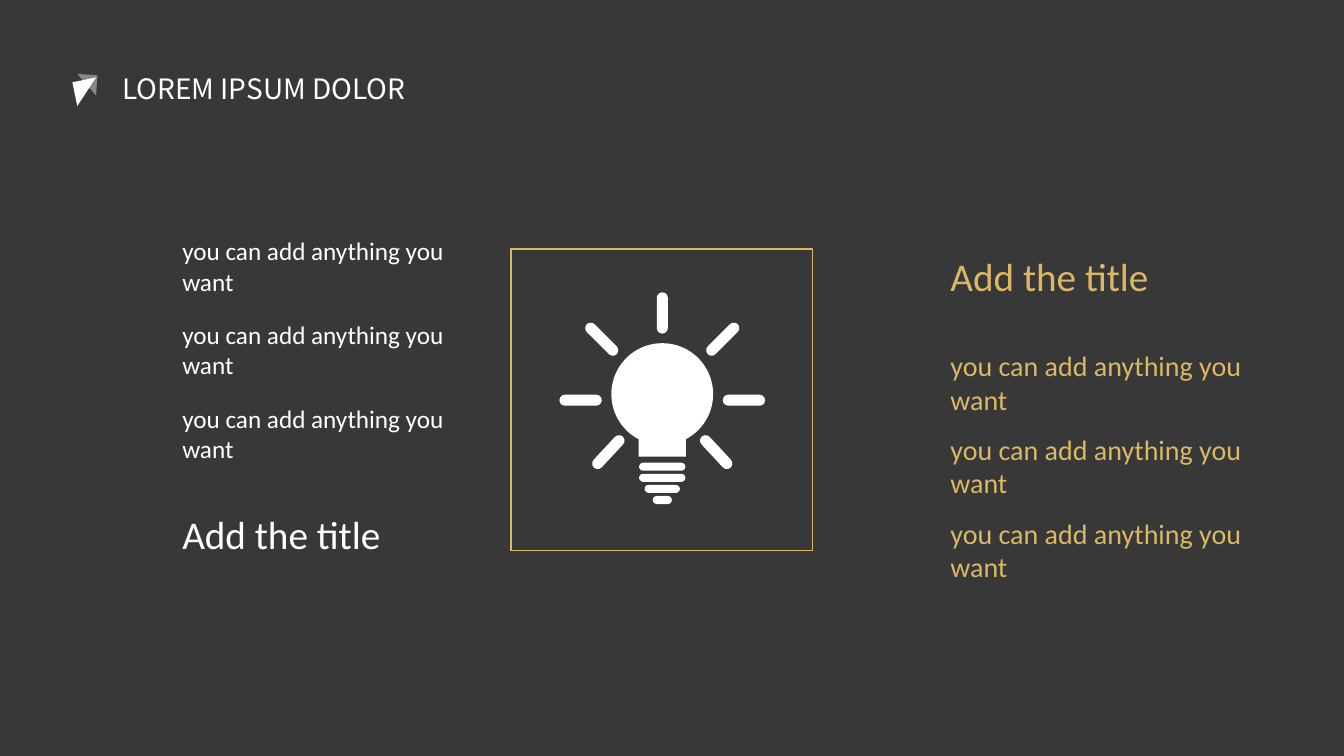
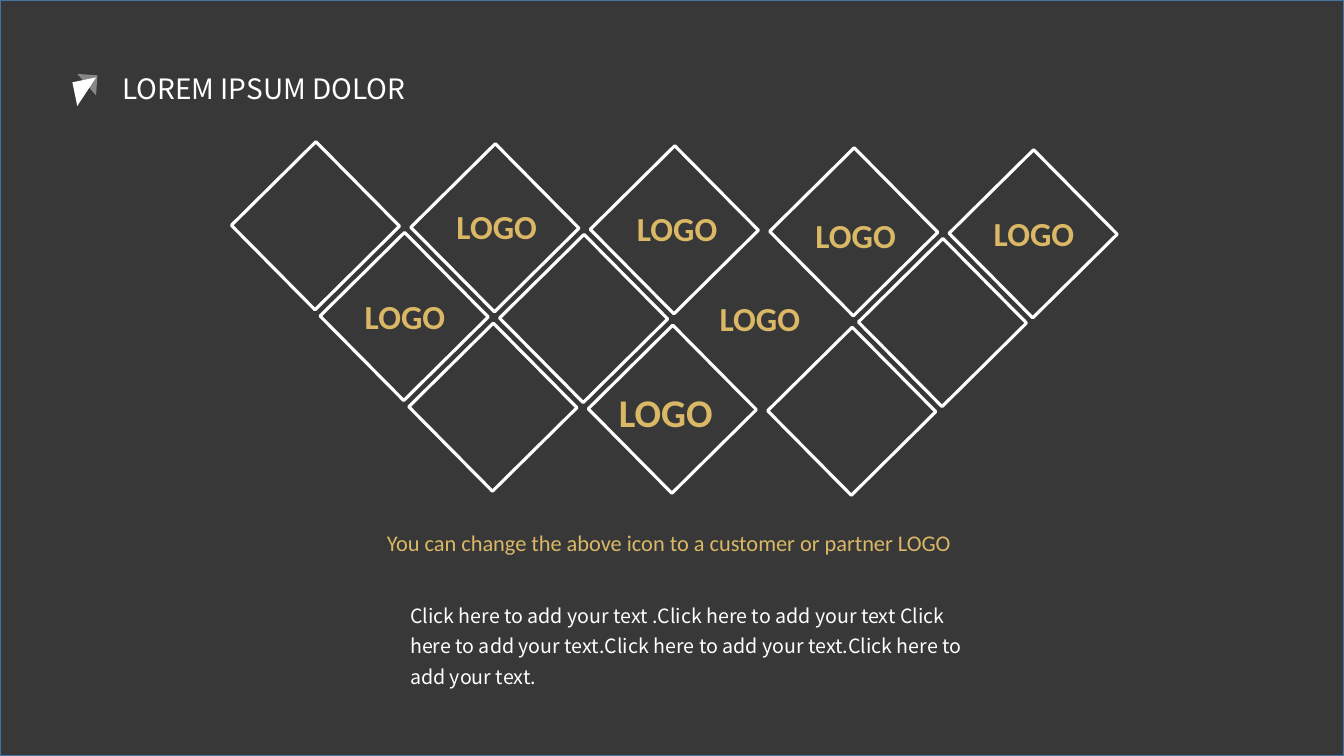
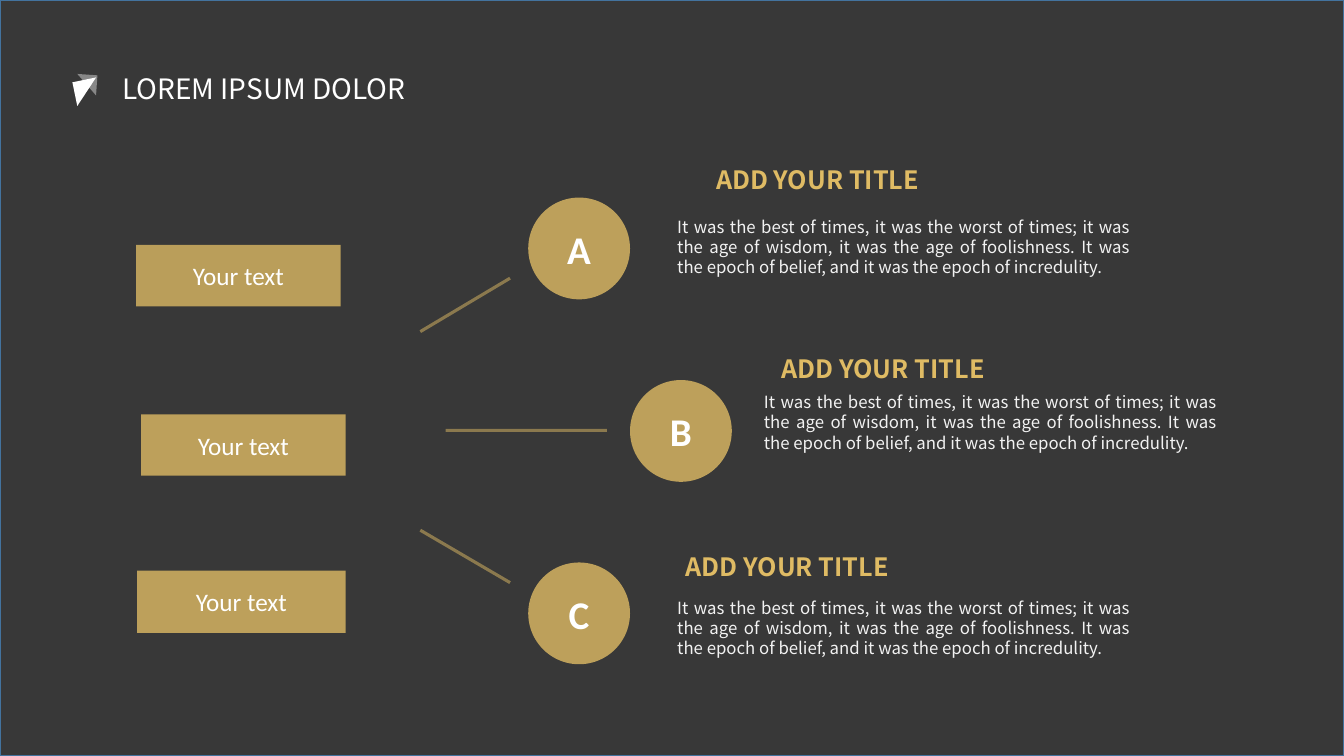
import math

import pptx
import pptx.dml.color
import pptx.enum.shapes
import pptx.enum.text
import pptx.oxml.ns
import pptx.util

RGBColor = pptx.dml.color.RGBColor
MSO_SHAPE = pptx.enum.shapes.MSO_SHAPE
PP_ALIGN = pptx.enum.text.PP_ALIGN

DARK = RGBColor(0x38, 0x38, 0x38)
WHITE = RGBColor(0xFF, 0xFF, 0xFF)
PALE = RGBColor(0xF2, 0xF2, 0xF2)
GOLD = RGBColor(0xDA, 0xB8, 0x65)
AMBER = RGBColor(0xDF, 0xBB, 0x64)
BLUE = RGBColor(0x43, 0x73, 0x9E)

BODY_FONT = "Calibri"
TITLE_FONT = "Noto Sans CJK JP"
TEXT_FONT = "Noto Sans CJK SC"

TITLE = "LOREM IPSUM DOLOR "
COLS, ROWS = 133.33, 75


def grid(n):
    """Length of n grid cells; a cell is a tenth of an inch."""
    return pptx.util.Inches(n / 10)


def set_alpha(sp, percent):
    """Make the colours of a shape's fill and line partly transparent."""
    for clr in sp.element.spPr.iter(pptx.oxml.ns.qn("a:srgbClr")):
        alpha = clr.makeelement(pptx.oxml.ns.qn("a:alpha"), {"val": str(percent * 1000)})
        clr.append(alpha)


class Deck:
    """Holds the style and the slide being filled; lengths are in grid cells."""

    def __init__(self):
        self.prs = pptx.Presentation()
        self.prs.slide_width, self.prs.slide_height = grid(COLS), grid(ROWS)
        self.s = None

    def slide(self, title, border=None):
        self.s = self.prs.slides.add_slide(self.prs.slide_layouts[6])
        self.shape(MSO_SHAPE.RECTANGLE, 0, 0, COLS, ROWS, fill=DARK, line=border)
        self.text(title, 10, 6.6, 33, 4.4, size=20, color=WHITE, font=TITLE_FONT,
                  align=PP_ALIGN.CENTER, wrap=False)
        self.shape(MSO_SHAPE.RIGHT_TRIANGLE, 7.4, 7.9, 2.4, 2.4, fill=WHITE, turn=78.4)
        self.shape(MSO_SHAPE.RIGHT_TRIANGLE, 7.6, 7.4, 2, 2, fill=WHITE, turn=184, alpha=40)

    def paint(self, sp, fill=None, line=None, weight=1):
        sp.shadow.inherit = False
        if fill is None:
            sp.fill.background()
        else:
            sp.fill.solid()
            sp.fill.fore_color.rgb = fill
        if line is None:
            sp.line.fill.background()
        else:
            sp.line.color.rgb = line
            sp.line.width = pptx.util.Pt(weight)
        return sp

    def shape(self, kind, x, y, w, h, fill=None, line=None, weight=1, turn=0, alpha=None):
        sp = self.s.shapes.add_shape(kind, grid(x), grid(y), grid(w), grid(h))
        sp.rotation = turn
        self.paint(sp, fill, line, weight)
        if alpha is not None:
            set_alpha(sp, alpha)
        return sp

    def pill(self, cx, cy, w, h, turn=0):
        """White bar with round ends, placed by its centre."""
        sp = self.shape(MSO_SHAPE.ROUNDED_RECTANGLE, cx - w / 2, cy - h / 2, w, h,
                        fill=WHITE, turn=turn)
        sp.adjustments[0] = 0.5
        return sp

    def outline(self, points, fill):
        points = [(grid(x), grid(y)) for x, y in points]
        builder = self.s.shapes.build_freeform(*points[0])
        builder.add_line_segments(points[1:])
        return self.paint(builder.convert_to_shape(), fill)

    def fill_text(self, tf, text, size, color, font=BODY_FONT, bold=False,
                  align=PP_ALIGN.LEFT, spacing=None):
        p = tf.paragraphs[0]
        p.text = text
        p.alignment = align
        p.line_spacing = spacing
        p.font.name, p.font.size, p.font.bold = font, pptx.util.Pt(size), bold
        p.font.color.rgb = color

    def text(self, text, x, y, w, h, size, color, wrap=True, **style):
        tf = self.s.shapes.add_textbox(grid(x), grid(y), grid(w), grid(h)).text_frame
        tf.word_wrap = wrap
        self.fill_text(tf, text, size, color, **style)

    def label(self, kind, text, x, y, w, h, size, alpha=80, bold=False):
        """Amber shape with centred white text."""
        sp = self.shape(kind, x, y, w, h, fill=AMBER, alpha=alpha)
        sp.text_frame.vertical_anchor = pptx.enum.text.MSO_ANCHOR.MIDDLE
        self.fill_text(sp.text_frame, text, size, WHITE, bold=bold, align=PP_ALIGN.CENTER)

    def line(self, x1, y1, x2, y2):
        c = self.s.shapes.add_connector(pptx.enum.shapes.MSO_CONNECTOR.STRAIGHT,
                                        grid(x1), grid(y1), grid(x2), grid(y2))
        c.line.color.rgb = AMBER
        c.line.width = pptx.util.Pt(2.25)
        set_alpha(c, 50)
        spPr = c.element.spPr
        spPr.append(spPr.makeelement(pptx.oxml.ns.qn("a:effectLst"), {}))

    def bulb(self, cx, cy, radius):
        """Light bulb with screw base and seven rays around the centre of its glass."""
        neck = 2.35
        start = math.acos(neck / radius)
        sweep = math.pi + 2 * start
        steps = 72
        angles = [start - i * (sweep / steps) for i in range(steps + 1)]
        glass = [(cx + radius * math.cos(a), cy + radius * math.sin(a)) for a in angles]
        foot = cy + 6.2
        parts = [self.outline(glass + [(cx - neck, foot), (cx + neck, foot)], WHITE)]
        for i, width in enumerate((4.6, 4.6, 3.5, 1.9)):
            parts.append(self.pill(cx, cy + 7.2 + 1.1 * i, width, 0.8))
        parts.append(self.pill(cx, cy - 8.05, 4.1, 1.1, turn=90))
        for dx, dy, turn in ((6, -5.45, -45), (8.1, 0.6, 0), (5.35, 5.75, 47)):
            for side in (-1, 1):
                parts.append(self.pill(cx + side * dx, cy + dy, 4.2, 1.1, turn=side * turn))
        self.s.shapes.add_group_shape(parts)


def idea_slide(deck):
    deck.slide(TITLE)
    for x, title_y, list_y, size, color in ((93.3, 24.5, 34.1, 20, GOLD),
                                            (17.1, 50.1, 22.9, 18, WHITE)):
        deck.text("Add the title", x, title_y, 26.8, 5.7, size=28, color=color)
        for i in range(3):
            deck.text("you can add anything you want", x, list_y + 8.3 * i, 32.9, 7.4,
                      size=size, color=color)
    deck.shape(MSO_SHAPE.RECTANGLE, 50.7, 24.7, 29.9, 29.9, line=GOLD)
    deck.bulb(65.7, 39.1, 5.05)


def partners_slide(deck):
    deck.slide(TITLE, border=BLUE)
    for row, columns in enumerate(((0, 1, 2, 3, 4), (0, 1, 3), (0, 1, 2))):
        for col in columns:
            deck.shape(MSO_SHAPE.RECTANGLE, 25.4 + 17.8 * col + 8.8 * row,
                       16.5 + 0.2 * col + 9 * row, 11.8, 11.8,
                       line=WHITE, weight=2.25, turn=45.3)
    for x, y in ((44.3, 19.9), (62.2, 20.1), (79.9, 20.8), (97.6, 20.6),
                 (35.2, 28.9), (70.4, 29.1)):
        deck.text("LOGO", x, y, 11, 5.1, size=24, color=GOLD, bold=True)
    deck.text("LOGO", 60.4, 38, 13.8, 5.7, size=28, color=GOLD, bold=True)
    deck.text("You can change the above icon to a customer or partner LOGO",
              37.4, 52, 70.6, 3.7, size=16, color=GOLD)
    deck.text("Click here to add your text .Click here to add your text Click here to add "
              "your text.Click here to add your text.Click here to add your text.",
              39.7, 58.7, 57.5, 10.2, size=14, color=WHITE, font=TEXT_FONT, spacing=1.3)


def topics_slide(deck):
    deck.slide(TITLE, border=BLUE)
    for x, y, w, h, alpha in ((13.5, 24.3, 20.3, 6.1, 78), (14, 41.1, 20.3, 6.1, 80),
                              (13.6, 56.6, 20.7, 6.2, 80)):
        deck.label(MSO_SHAPE.RECTANGLE, "Your text", x, y, w, h, size=18, alpha=alpha)
    for i, (letter, x) in enumerate((("A", 52.4), ("B", 62.5), ("C", 52.4))):
        deck.label(MSO_SHAPE.OVAL, letter, x, 19.6 + 18.1 * i, 10.1, 10.1, size=28, bold=True)
    for ends in ((41.7, 32.9, 50.6, 27.6), (44.2, 42.7, 60.2, 42.7), (41.7, 52.6, 50.6, 57.8)):
        deck.line(*ends)
    for title_x, title_y, x, y in ((69.2, 15.8, 66.2, 21), (75.7, 34.6, 74.8, 38.4),
                                   (66.2, 54.2, 66.2, 58.8)):
        deck.text("It was the best of times, it was the worst of times; it was the age of "
                  "wisdom, it was the age of foolishness. It was the epoch of belief, and it "
                  "was the epoch of incredulity. ", x, y, 46.9, 7.1, size=12, color=PALE,
                  font=TEXT_FONT, align=PP_ALIGN.JUSTIFY)
        deck.text("ADD YOUR TITLE", title_x, title_y, 23.8, 4, size=18, color=AMBER,
                  font=TEXT_FONT, bold=True, align=PP_ALIGN.CENTER)


def main():
    deck = Deck()
    idea_slide(deck)
    partners_slide(deck)
    topics_slide(deck)
    deck.prs.save("out.pptx")


if __name__ == "__main__":
    main()
